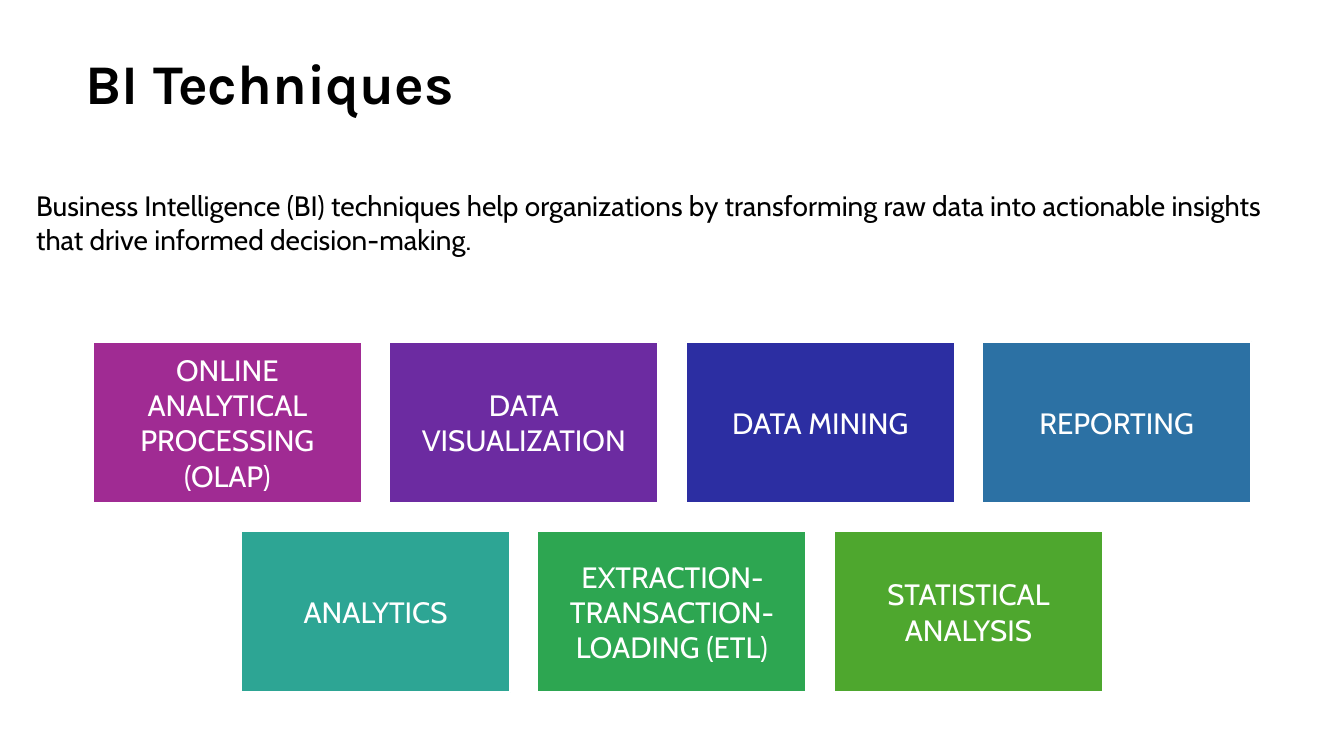
from dataclasses import dataclass

from pptx import Presentation
from pptx.dml.color import RGBColor
from pptx.enum import shapes, text
from pptx.util import Inches, Pt


@dataclass(frozen=True)
class Theme:
    ink: str = "000000"
    paper: str = "FFFFFF"
    title_font: str = "Karla"
    body_font: str = "Cabin"
    title_size: int = 40
    intro_size: int = 20
    box_size: int = 21


THEME = Theme()


def write(shape, wording, font_name, size, color, bold=False,
          alignment=text.PP_ALIGN.LEFT, line_spacing=1.0):
    shape.text_frame.text = wording
    paragraph = shape.text_frame.paragraphs[0]
    paragraph.alignment = alignment
    paragraph.line_spacing = line_spacing
    font_format = {"name": font_name, "size": Pt(size), "bold": bold}
    for attribute, value in font_format.items():
        setattr(paragraph.runs[0].font, attribute, value)
    paragraph.runs[0].font.color.rgb = RGBColor.from_string(color)


presentation = Presentation()
presentation.slide_width = Inches(13.33)
presentation.slide_height = Inches(7.5)
slide = presentation.slides.add_slide(presentation.slide_layouts[5])

# Title
title = slide.shapes.title
title_place = {"left": 0.75, "top": 0.13, "width": 11.5, "height": 1.45}
for attribute, value in title_place.items():
    setattr(title, attribute, Inches(value))
title.text_frame.vertical_anchor = text.MSO_ANCHOR.MIDDLE
write(title, "BI Techniques", THEME.title_font, THEME.title_size, THEME.ink,
      bold=True, line_spacing=0.9)

# Technique boxes, each row centred on the slide
BOX_WIDTH, BOX_HEIGHT, GAP = 2.67, 1.6, 0.27
CENTER, FIRST_TOP, ROW_STEP = 6.665, 3.39, 1.88
technique_rows = [
    [("ONLINE ANALYTICAL PROCESSING (OLAP)", "A02B93"),
     ("DATA VISUALIZATION", "6C2BA1"),
     ("DATA MINING", "2C2EA2"),
     ("REPORTING", "2C71A4")],
    [("ANALYTICS", "2DA594"),
     ("EXTRACTION-TRANSACTION-LOADING (ETL)", "2DA651"),
     ("STATISTICAL ANALYSIS", "4EA72E")],
]
box_format = {"word_wrap": True, "vertical_anchor": text.MSO_ANCHOR.MIDDLE}
for side in ("left", "right", "top", "bottom"):
    box_format[f"margin_{side}"] = Inches(0.09)

for row, techniques in enumerate(technique_rows):
    row_width = len(techniques) * (BOX_WIDTH + GAP) - GAP
    for column, (technique, color) in enumerate(techniques):
        left = CENTER - row_width / 2 + column * (BOX_WIDTH + GAP)
        box = slide.shapes.add_shape(
            shapes.MSO_SHAPE.RECTANGLE, Inches(left),
            Inches(FIRST_TOP + row * ROW_STEP),
            Inches(BOX_WIDTH), Inches(BOX_HEIGHT))
        box.shadow.inherit = False
        box.fill.solid()
        box.fill.fore_color.rgb = RGBColor.from_string(color)
        box.line.color.rgb = RGBColor.from_string(THEME.paper)
        box.line.width = Pt(1.5)
        for attribute, value in box_format.items():
            setattr(box.text_frame, attribute, value)
        write(box, technique, THEME.body_font, THEME.box_size, THEME.paper,
              alignment=text.PP_ALIGN.CENTER)

# Introduction
intro = slide.shapes.add_textbox(
    Inches(0.26), Inches(1.82), Inches(12.4), Inches(0.77))
intro.text_frame.word_wrap = True
intro.text_frame.auto_size = text.MSO_AUTO_SIZE.SHAPE_TO_FIT_TEXT
write(intro,
      "Business Intelligence (BI) techniques help organizations by "
      "transforming raw data into actionable insights that drive informed "
      "decision-making.",
      THEME.body_font, THEME.intro_size, THEME.ink)

presentation.save("out.pptx")
